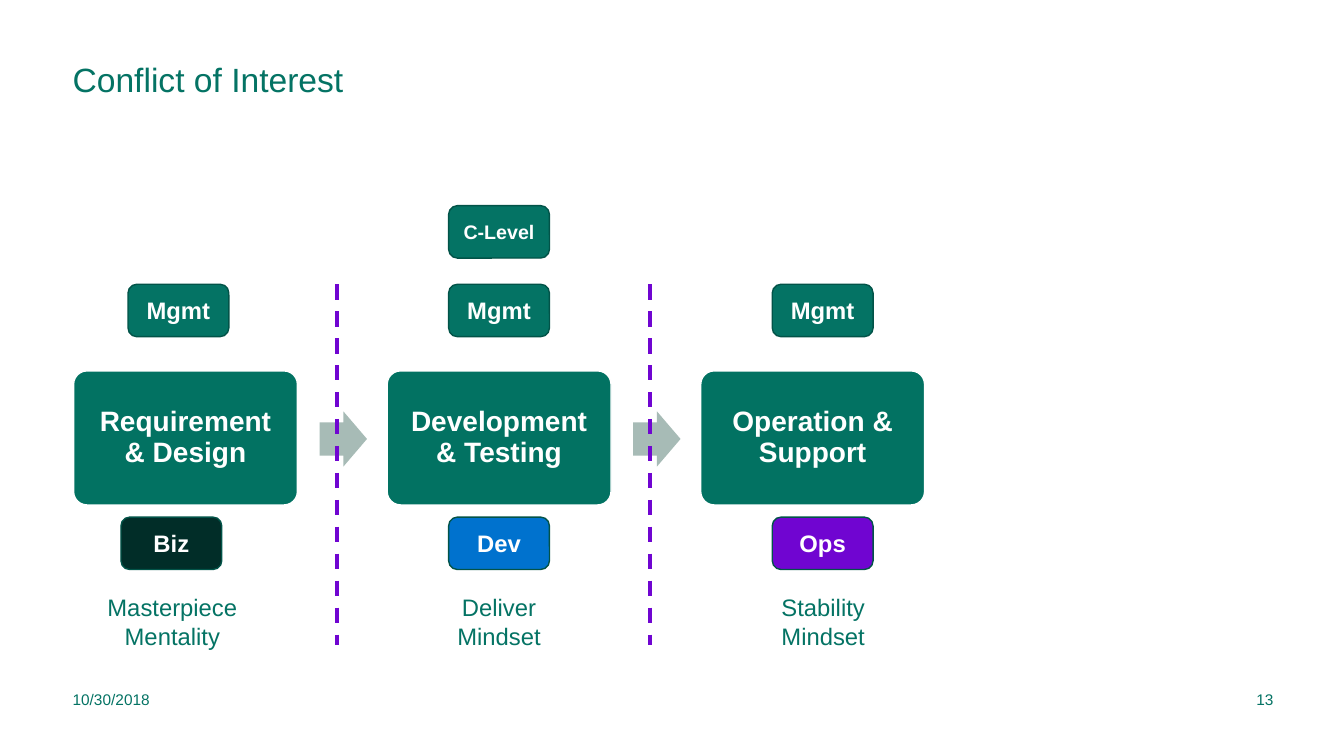
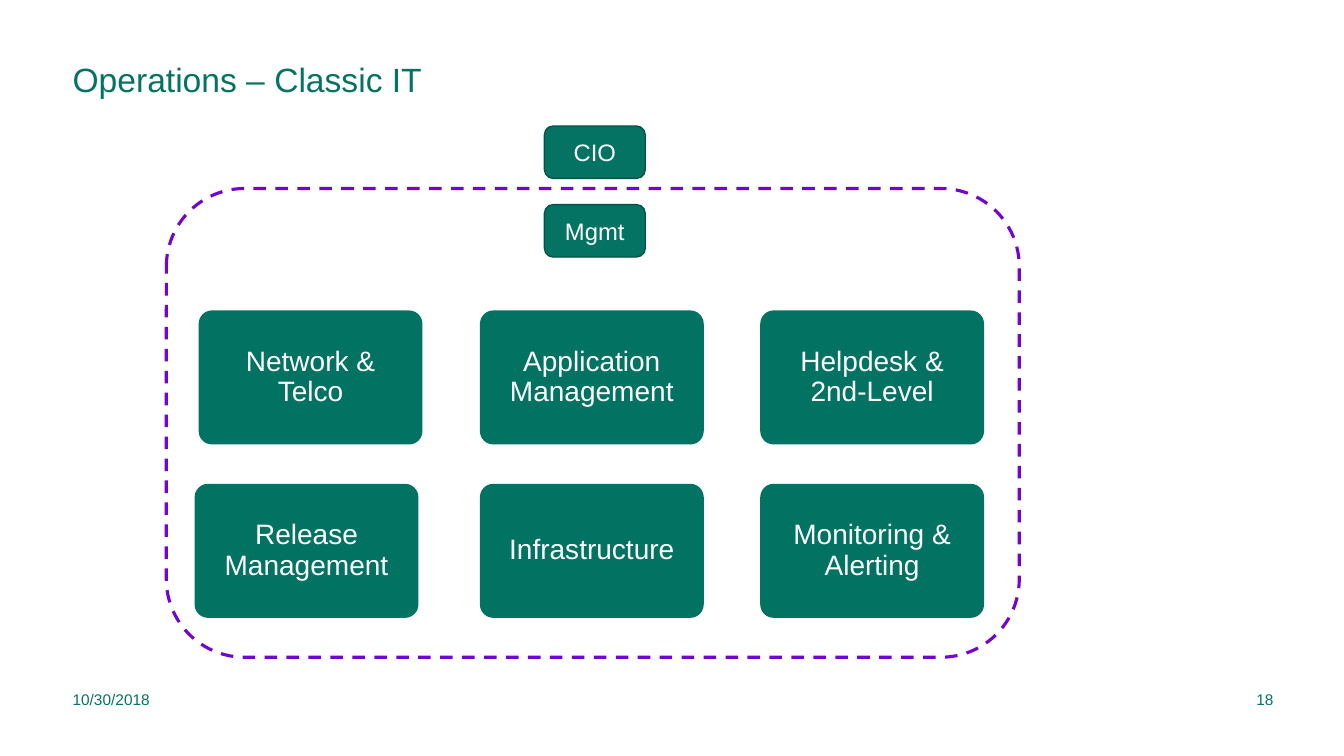
from dataclasses import dataclass

from lxml import etree
from pptx import Presentation
from pptx.dml.color import RGBColor
from pptx.enum.dml import MSO_LINE
from pptx.enum.shapes import MSO_CONNECTOR, MSO_SHAPE
from pptx.enum.text import MSO_ANCHOR, PP_ALIGN
from pptx.oxml.ns import qn
from pptx.util import Pt

ROUNDED = MSO_SHAPE.ROUNDED_RECTANGLE
ARROW = MSO_SHAPE.RIGHT_ARROW
STRAIGHT = MSO_CONNECTOR.STRAIGHT
DASH = MSO_LINE.DASH
TOP, MIDDLE = MSO_ANCHOR.TOP, MSO_ANCHOR.MIDDLE
LEFT, CENTER, RIGHT = PP_ALIGN.LEFT, PP_ALIGN.CENTER, PP_ALIGN.RIGHT
EMU_PER_PX = 9144


@dataclass(frozen=True)
class Theme:
    font: str = "Arial"
    green: str = "047364"
    block: str = "027262"
    edge: str = "025348"
    dark: str = "012D28"
    blue: str = "0072CE"
    purple: str = "7005D1"
    arrow: str = "A7BBB6"
    white: str = "FFFFFF"
    title_size: int = 24
    block_size: int = 20
    badge_size: int = 17
    small_badge_size: int = 14
    footer_size: int = 11


@dataclass(frozen=True)
class Box:
    left: int
    top: int
    width: int
    height: int

    def inner(self, dx, dy, width, height):
        return Box(self.left + dx, self.top + dy, width, height)

    def emu(self):
        return [px(n) for n in (self.left, self.top, self.width, self.height)]


@dataclass(frozen=True)
class Stage:
    label: str
    role: str
    role_color: str
    mindset: str
    mgmt_dx: int
    role_dx: int
    mindset_dx: int
    mindset_width: int


THEME = Theme()
PAGE = Box(0, 0, 1333, 750)
BLOCK_WIDTH, BLOCK_HEIGHT = 222, 133
BADGE_WIDTH, BADGE_HEIGHT = 100, 52
STAGE_PITCH = 311

STAGES = [
    Stage("Requirement & Design", "Biz", THEME.dark, "Masterpiece Mentality", 54, 47, -22, 240),
    Stage("Development & Testing", "Dev", THEME.blue, "Deliver Mindset", 61, 61, 24, 174),
    Stage("Operation & Support", "Ops", THEME.purple, "Stability Mindset", 71, 71, 30, 183),
]

TEAM_ROWS = [
    (121, [(32, "Network & Telco"), (311, "Application Management"), (589, "Helpdesk & 2nd-Level")]),
    (293, [(28, "Release Management"), (311, "Infrastructure"), (589, "Monitoring & Alerting")]),
]


def px(length):
    return length * EMU_PER_PX


def rgb(color):
    return RGBColor.from_string(color)


def write(shape, text, size, color, align=CENTER, anchor=MIDDLE,
          insets=(10, 5, 10, 5), bold=False, spacing=1.0):
    frame = shape.text_frame
    frame.text = text
    frame.word_wrap = True
    frame.vertical_anchor = anchor
    (frame.margin_left, frame.margin_top,
     frame.margin_right, frame.margin_bottom) = [px(n) for n in insets]
    paragraph = frame.paragraphs[0]
    paragraph.alignment = align
    paragraph.line_spacing = spacing
    font = paragraph.runs[0].font
    font.name = THEME.font
    font.size = Pt(size)
    font.bold = bold
    font.color.rgb = rgb(color)


def add_text(slide, box, text, size, **style):
    write(slide.shapes.add_textbox(*box.emu()), text, size, THEME.green, **style)


def add_shape(slide, box, kind, fill=None, line=None, line_width=1, adjustments=()):
    shape = slide.shapes.add_shape(kind, *box.emu())
    shape.shadow.inherit = False
    for index, value in enumerate(adjustments):
        shape.adjustments[index] = value
    if fill:
        shape.fill.solid()
        shape.fill.fore_color.rgb = rgb(fill)
    else:
        shape.fill.background()
    if line:
        shape.line.color.rgb = rgb(line)
        shape.line.width = Pt(line_width)
    else:
        shape.line.fill.background()
    return shape


def add_block(slide, box, text, bold=False, line=None):
    block = add_shape(slide, box, ROUNDED, THEME.block, line, adjustments=[0.1])
    write(block, text, THEME.block_size, THEME.white, insets=(10, 10, 10, 10),
          bold=bold, spacing=0.9)


def add_badge(slide, box, text, fill=THEME.green, size=THEME.badge_size, bold=False):
    badge = add_shape(slide, box, ROUNDED, fill, THEME.edge)
    write(badge, text, size, THEME.white, bold=bold)


def add_divider(slide, box):
    x, top, bottom = px(box.left), px(box.top), px(box.top + box.height)
    divider = slide.shapes.add_connector(STRAIGHT, x, top, x, bottom)
    divider.line.color.rgb = rgb(THEME.purple)
    divider.line.width = Pt(2.75)
    divider.line.dash_style = DASH
    etree.SubElement(divider._element.spPr, qn("a:effectLst"))


def add_page(deck, box, title, number):
    slide = deck.slides.add_slide(deck.slide_layouts[6])
    add_text(slide, box.inner(72, 63, 846, 98), title, THEME.title_size,
             align=LEFT, anchor=TOP, insets=(0, 0, 0, 4), spacing=0.9)
    footers = [(72, 197, "10/30/2018", LEFT), (1204, 59, number, RIGHT)]
    for left, width, text, align in footers:
        add_text(slide, box.inner(left, 677, width, 33), text, THEME.footer_size,
                 align=align, insets=(0, 0, 0, 0))
    return slide


def add_stage(slide, box, stage):
    add_badge(slide, box.inner(stage.mgmt_dx, 0, BADGE_WIDTH, BADGE_HEIGHT), "Mgmt", bold=True)
    add_block(slide, box.inner(0, 86, BLOCK_WIDTH, BLOCK_HEIGHT), stage.label,
              bold=True, line=THEME.white)
    add_badge(slide, box.inner(stage.role_dx, 231, BADGE_WIDTH, BADGE_HEIGHT),
              stage.role, stage.role_color, bold=True)
    add_text(slide, box.inner(stage.mindset_dx, 301, stage.mindset_width, 39),
             stage.mindset, THEME.badge_size, anchor=TOP)


def add_handover(slide, box):
    add_shape(slide, box.inner(244, 126, 47, 55), ARROW, THEME.arrow, adjustments=[0.6, 0.5])
    add_divider(slide, box.inner(261, 0, 0, box.height))


def add_conflict(slide, box):
    add_badge(slide, box.inner(372, 0, BADGE_WIDTH, BADGE_HEIGHT), "C-Level",
              size=THEME.small_badge_size, bold=True)
    for index, stage in enumerate(STAGES):
        column = box.inner(index * STAGE_PITCH, 78, BLOCK_WIDTH, box.height - 78)
        add_stage(slide, column, stage)
        if index < len(STAGES) - 1:
            add_handover(slide, column)


def add_operations(slide, box):
    for dy, text in [(-62, "CIO"), (16, "Mgmt")]:
        add_badge(slide, box.inner(375, dy, BADGE_WIDTH, BADGE_HEIGHT), text)
    for dy, teams in TEAM_ROWS:
        for dx, team in teams:
            add_block(slide, box.inner(dx, dy, BLOCK_WIDTH, BLOCK_HEIGHT), team)
    boundary = add_shape(slide, box, ROUNDED, line=THEME.purple, line_width=2.25)
    boundary.line.dash_style = DASH


def main():
    deck = Presentation()
    deck.slide_width = px(PAGE.width)
    deck.slide_height = px(PAGE.height)
    add_conflict(add_page(deck, PAGE, "Conflict of Interest", "13"), Box(73, 204, 844, 436))
    add_operations(add_page(deck, PAGE, "Operations – Classic IT", "18"), Box(165, 187, 846, 465))
    deck.save("out.pptx")


if __name__ == "__main__":
    main()
